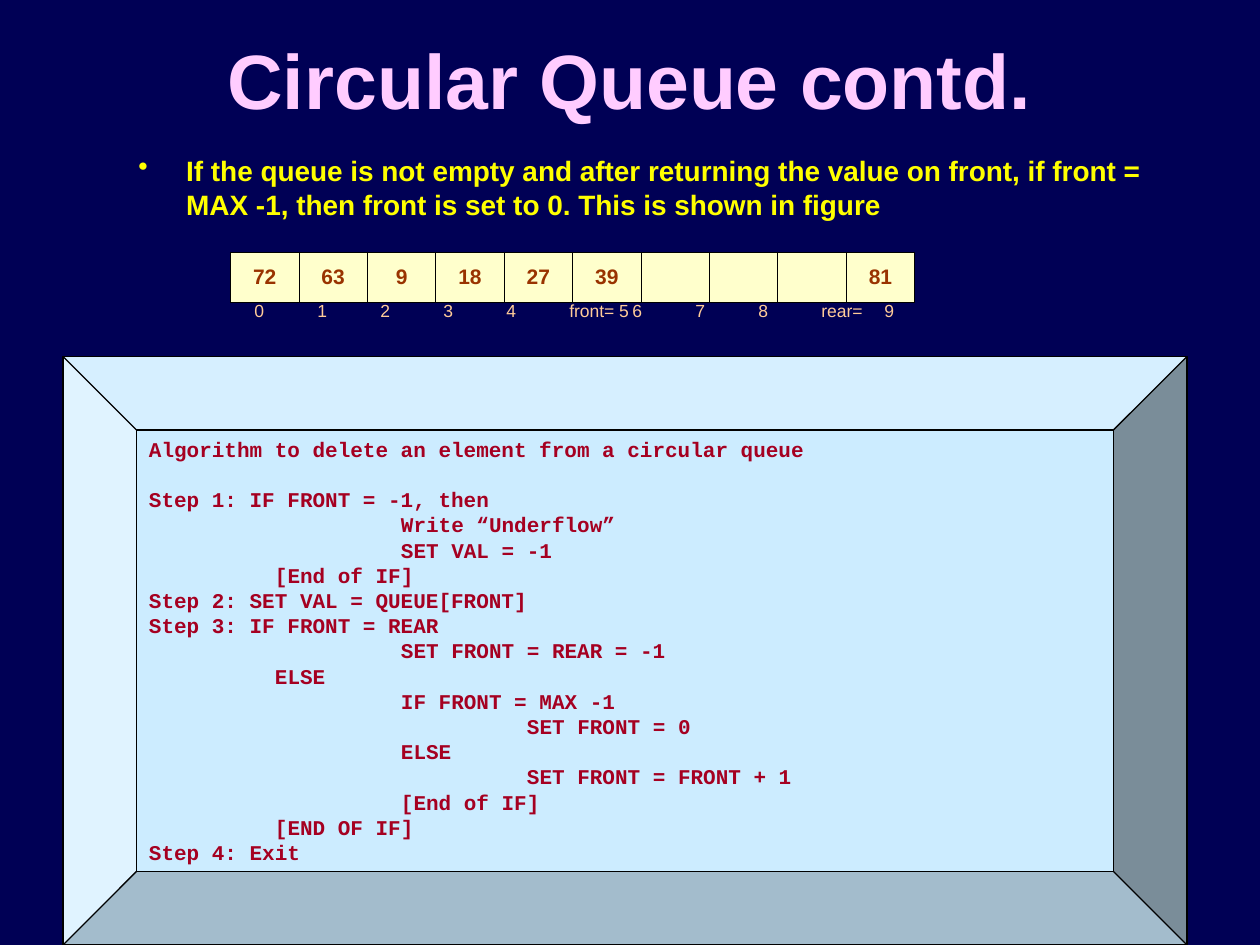
from lxml.etree import SubElement
from pptx import Presentation
from pptx.dml.color import RGBColor
from pptx.enum.shapes import MSO_SHAPE as Shape
from pptx.enum.text import MSO_ANCHOR as Anchor, PP_ALIGN as Align
from pptx.oxml.ns import qn
from pptx.util import Inches, Pt

# Content
TITLE = "Circular Queue contd."
RULE = ("If the queue is not empty and after returning the value on front, "
        "if front = MAX -1, then front is set to 0. This is shown in figure")
QUEUE = ["72", "63", "9", "18", "27", "39", "", "", "", "81"]
# Index labels with their tab positions in inches
INDEXES = [("0", 0.44), ("1", 1.02), ("2", 1.51), ("3", 1.98), ("4", 2.51),
           ("front= 5", 3.01), ("6", 3.72), ("7", 4.26), ("8", 5.0),
           ("rear=", 5.3), ("9", 5.7)]
HEADING = "Algorithm to delete an element from a circular queue"
# Indent level and text of each line
STEPS = [
    (0, "Step 1: IF FRONT = -1, then"),
    (2, "Write “Underflow”"),
    (2, "SET VAL = -1"),
    (1, "[End of IF]"),
    (0, "Step 2: SET VAL = QUEUE[FRONT]"),
    (0, "Step 3: IF FRONT = REAR"),
    (2, "SET FRONT = REAR = -1"),
    (1, "ELSE"),
    (2, "IF FRONT = MAX -1"),
    (3, "SET FRONT = 0"),
    (2, "ELSE"),
    (3, "SET FRONT = FRONT + 1"),
    (2, "[End of IF]"),
    (1, "[END OF IF]"),
    (0, "Step 4: Exit"),
]
CELL_WIDTH, LINE_PITCH = 0.543, 14.4


def color(hex_text):
    return RGBColor.from_string(hex_text)


def write(para, text, size, ink, font="Arial", bold=True, align=Align.LEFT,
          before=0, indent=0, hanging=0, pitch=None):
    para.alignment = align
    para.space_before = Pt(before)
    if pitch:
        para.line_spacing = Pt(pitch)
    props = para._p.get_or_add_pPr()
    props.set("marL", str(Inches(indent)))
    props.set("indent", str(-Inches(hanging)))
    span = para.add_run()
    span.text = text
    span.font.size, span.font.bold, span.font.name = Pt(size), bold, font
    span.font.color.rgb = color(ink)
    return props


def add_box(page, left, top, width, height, anchor=Anchor.TOP):
    box = page.shapes.add_textbox(*map(Inches, (left, top, width, height)))
    box.text_frame.word_wrap = True
    box.text_frame.vertical_anchor = anchor
    return box.text_frame.paragraphs[0]


def add_border(cell):
    props = cell._tc.get_or_add_tcPr()
    for position, side in enumerate(("lnL", "lnR", "lnT", "lnB")):
        line = SubElement(props, qn(f"a:{side}"), w=str(Pt(0.45)))
        fill = SubElement(line, qn("a:solidFill"))
        SubElement(fill, qn("a:srgbClr"), val="000000")
        props.insert(position, line)


deck = Presentation()
deck.slide_width, deck.slide_height = Inches(10), Inches(7.5)
page = deck.slides.add_slide(deck.slide_layouts[6])
page.background.fill.solid()
page.background.fill.fore_color.rgb = color("000055")

# Title and bullet
write(add_box(page, 0.5, 0, 9, 1.25, Anchor.MIDDLE), TITLE, 44, "FFCCFF",
      align=Align.CENTER)
props = write(add_box(page, 1, 1.17, 8.5, 0.71), RULE, 16, "FFFF00",
              before=4, indent=0.38, hanging=0.38)
SubElement(props, qn("a:buChar"), char="•")

# Queue table
frame = page.shapes.add_table(1, len(QUEUE), Inches(1.83), Inches(2),
                              Inches(CELL_WIDTH * len(QUEUE)), Inches(0.38))
for column, value in enumerate(QUEUE):
    frame.table.columns[column].width = Inches(CELL_WIDTH)
    cell = frame.table.cell(0, column)
    cell.fill.solid()
    cell.fill.fore_color.rgb = color("FFFFCC")
    cell.vertical_anchor = Anchor.MIDDLE
    add_border(cell)
    write(cell.text_frame.paragraphs[0], value, 12, "993300",
          align=Align.CENTER)

# Index labels under the queue
labels = "".join("\t" + label for label, _ in INDEXES)
props = write(add_box(page, 1.42, 2.33, 6.58, 0.27, Anchor.MIDDLE), labels,
              10, "FFCC99", bold=False)
stops = SubElement(props, qn("a:tabLst"))
for _, position in INDEXES:
    SubElement(stops, qn("a:tab"), pos=str(Inches(position)), algn="l")

# Algorithm panel
panel = page.shapes.add_shape(Shape.BEVEL, Inches(0.5), Inches(2.83),
                              Inches(8.92), Inches(4.67))
panel.shadow.inherit = False
panel.adjustments[0] = 0.125
panel.fill.solid()
panel.fill.fore_color.rgb = color("CCECFF")
panel.line.color.rgb = color("000000")
panel.line.width = Pt(0.75)
body = panel.text_frame
body.word_wrap = True
body.vertical_anchor = Anchor.TOP
code = dict(size=12, ink="A50021", font="Courier New", pitch=LINE_PITCH)
write(body.paragraphs[0], HEADING, **code)
for number, (level, text) in enumerate(STEPS):
    write(body.add_paragraph(), text, indent=level,
          before=0 if number else LINE_PITCH, **code)

deck.save("out.pptx")
